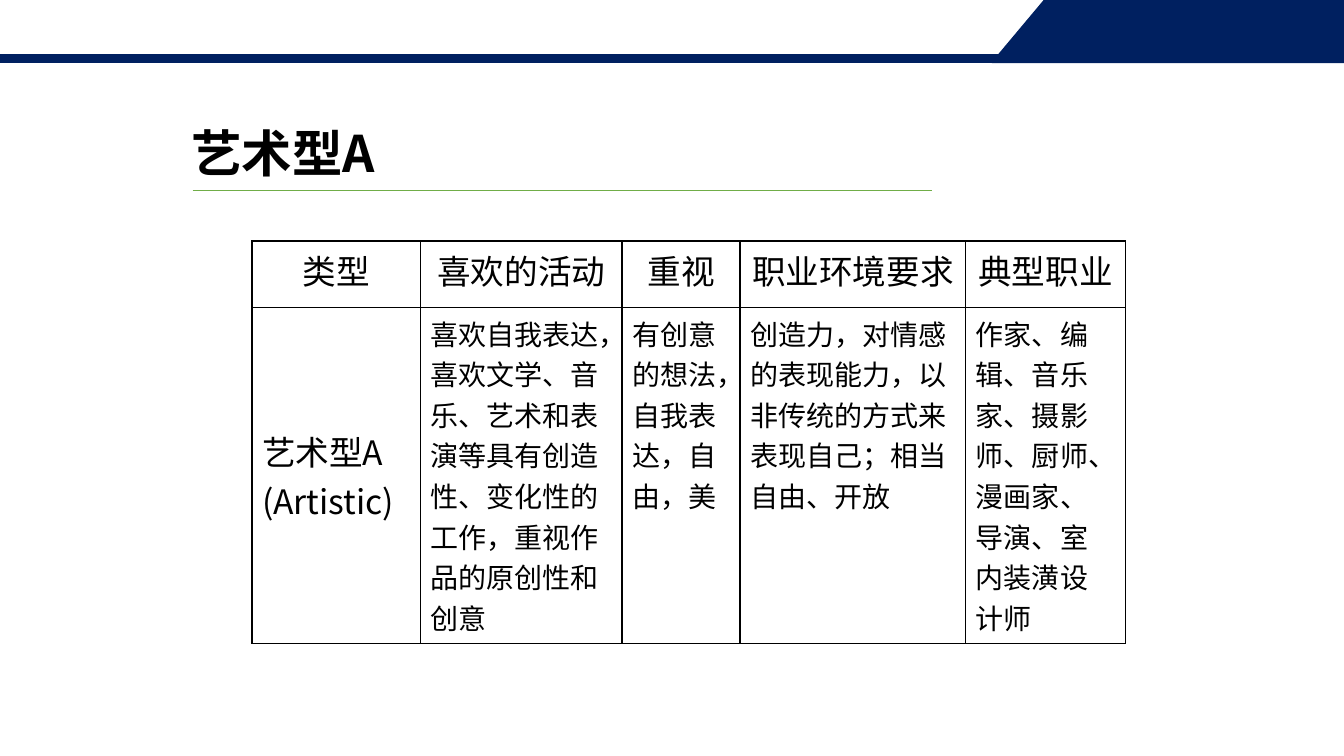
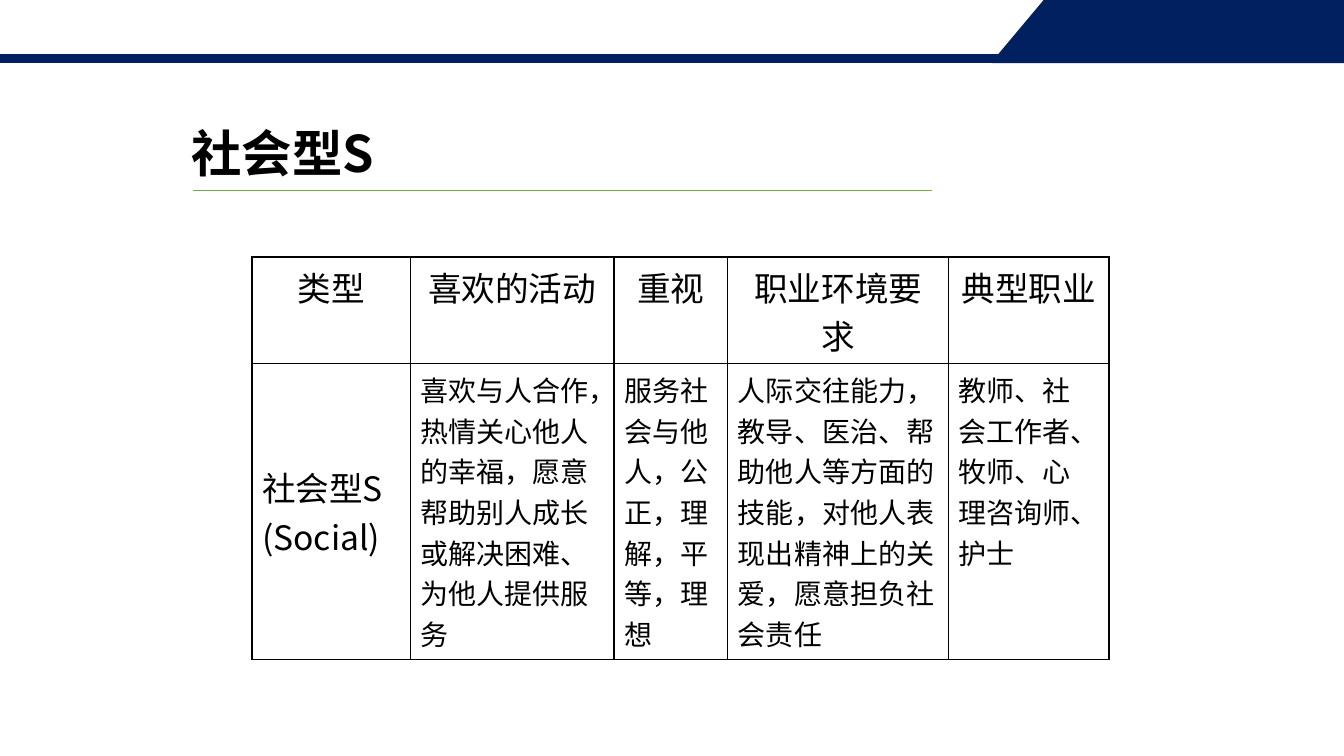
from lxml import etree
from pptx import Presentation
from pptx import util as u
from pptx.dml.color import RGBColor
from pptx.enum import shapes, text
from pptx.oxml.ns import qn

# Content
HEADS = ["类型", "喜欢的活动", "重视", "职业环境要求", "典型职业"]
PAGES = [
    dict(
        title="艺术型A", top=239,
        cols=[167, 200, 117, 224, 158], rows=[66, 333],
        cells=[
            "艺术型A\n(Artistic)",
            "喜欢自我表达，喜欢文学、音乐、艺术和表演等具有创造性、变化性的工作，重视作品的原创性和创意",
            "有创意的想法，自我表达，自由，美",
            "创造力，对情感的表现能力，以非传统的方式来表现自己；相当自由、开放",
            "作家、编辑、音乐家、摄影师、厨师、漫画家、导演、室内装潢设计师",
        ],
    ),
    dict(
        title="社会型S", top=255,
        cols=[157, 202, 113, 219, 159], rows=[106, 293],
        cells=[
            "社会型S\n(Social)",
            "喜欢与人合作，热情关心他人的幸福，愿意帮助别人成长或解决困难、为他人提供服务",
            "服务社会与他人，公正，理解，平等，理想",
            "人际交往能力，教导、医治、帮助他人等方面的技能，对他人表现出精神上的关爱，愿意担负社会责任",
            "教师、社会工作者、牧师、心理咨询师、护士",
        ],
    ),
]

THEME = dict(font="Noto Sans CJK SC", ink="000000", navy="002060", green="70AD47",
             title=36, head=24, body=20)
PX = 9144  # 100 px to the inch
WIDE, HIGH = 1333, 750
LEFT = 250


def px(*sizes):
    return [u.Emu(size * PX) for size in sizes]


def color(name):
    return RGBColor.from_string(THEME[name])


def write(frame, words, size, align=text.PP_ALIGN.LEFT, bold=False):
    frame.word_wrap = True
    frame.text = words
    for para in frame.paragraphs:
        para.alignment = align
        font = para.font
        font.size, font.bold = u.Pt(THEME[size]), bold
        font.color.rgb, font.name = color("ink"), THEME["font"]
        props = para._p.pPr.find(qn("a:defRPr"))
        etree.SubElement(props, qn("a:ea"), typeface=THEME["font"])


def paint(shape, width):
    shape.shadow.inherit = False
    shape.fill.solid()
    shape.fill.fore_color.rgb = color("navy")
    shape.line.color.rgb = color("navy")
    shape.line.width = u.Pt(width)


def frame_page(slide, title):
    # Header band
    build = slide.shapes.build_freeform(984, 62, scale=PX)
    build.add_line_segments([(1036, 0), (WIDE, 0), (WIDE, 62)], close=True)
    paint(build.convert_to_shape(), 1)
    paint(slide.shapes.add_shape(shapes.MSO_SHAPE.RECTANGLE, *px(0, 55, 1087, 7)), 1.5)

    # Title and rule
    box = slide.shapes.add_textbox(*px(180, 116, 620, 90))
    write(box.text_frame, title, "title", bold=True)
    rule = slide.shapes.add_connector(shapes.MSO_CONNECTOR.STRAIGHT, *px(191, 189, 924, 189))
    rule.line.color.rgb = color("green")
    rule.line.width = u.Pt(0.5)
    etree.SubElement(rule._element.spPr, qn("a:effectLst"))


def edge(cell):
    props = cell._tc.get_or_add_tcPr()
    for spot, side in enumerate(("lnL", "lnR", "lnT", "lnB")):
        line = etree.Element(qn("a:" + side), w=str(u.Pt(1)))
        fill = etree.SubElement(line, qn("a:solidFill"))
        etree.SubElement(fill, qn("a:srgbClr"), val=THEME["ink"])
        props.insert(spot, line)


def add_grid(slide, page):
    cols, rows = page["cols"], page["rows"]
    area = px(LEFT, page["top"], sum(cols), sum(rows))
    table = slide.shapes.add_table(len(rows), len(cols), *area).table
    table.first_row = table.horz_banding = False
    for part, size in zip(table.columns, px(*cols)):
        part.width = size
    for part, size in zip(table.rows, px(*rows)):
        part.height = size

    for r, line in enumerate([HEADS, page["cells"]]):
        for c, words in enumerate(line):
            cell = table.cell(r, c)
            cell.fill.background()
            edge(cell)
            size = "body" if r and c else "head"
            align = text.PP_ALIGN.LEFT if r else text.PP_ALIGN.CENTER
            write(cell.text_frame, words, size, align)
    table.cell(1, 0).vertical_anchor = text.MSO_ANCHOR.MIDDLE


def main():
    deck = Presentation()
    deck.slide_width, deck.slide_height = px(WIDE, HIGH)
    for page in PAGES:
        slide = deck.slides.add_slide(deck.slide_layouts[6])
        frame_page(slide, page["title"])
        add_grid(slide, page)
    deck.save("out.pptx")


if __name__ == "__main__":
    main()
